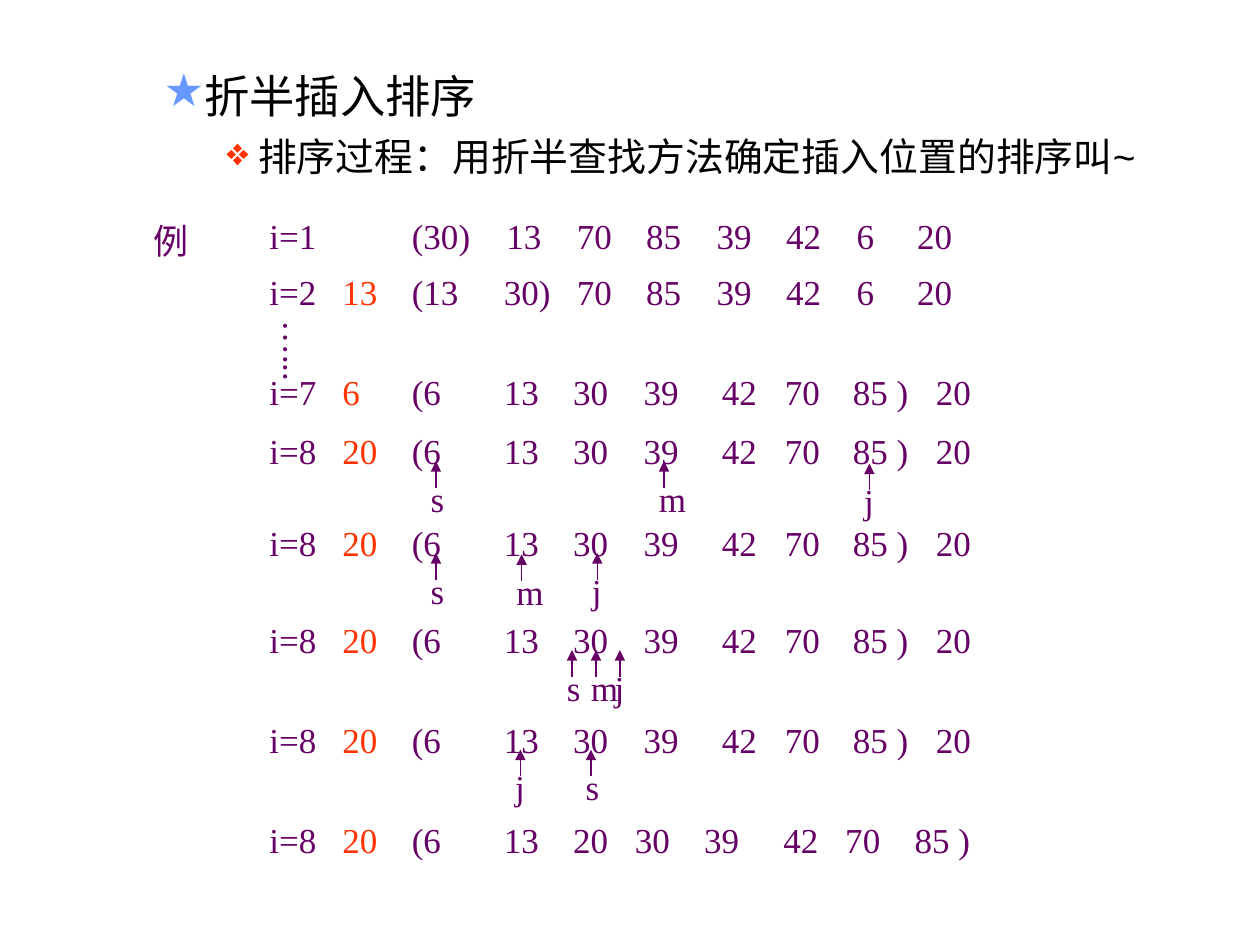
from lxml import etree
from pptx import Presentation, util as u
from pptx.dml.color import RGBColor
from pptx.enum import shapes as kinds, text as txt
from pptx.oxml.ns import qn

# Lengths are cells of a grid with 100 columns and 75 rows.
COLUMNS, ROWS, CELL = 100, 75, 0.1
PURPLE, RED, BLUE, BLACK = "660066", "FF3300", "6699FF", "000000"
SERIF, SANS = "Times New Roman", "Arial"
ROW_LEFT, ROW_WIDTH, LINE_HEIGHT = 20.4, 59, 4.4

# Tab stops: inserted key, first sorted value, then the remaining values
LEADING_STOPS = [5.8, 11.3]
UNSORTED_STOPS = LEADING_STOPS + [18.8, 24.4, 29.9, 35.5, 41, 46.6, 51.4]
PAIR_STOPS = LEADING_STOPS + [18.6] + UNSORTED_STOPS[3:]
SORTED_STOPS = LEADING_STOPS + [18.6, 24.1, 29.7, 35.9, 40.9, 46.3, 52.9]
FINAL_STOPS = LEADING_STOPS + [18.6, 24.1, 29, 34.5, 40.8, 45.7, 51.2]

SORTED_VALUES = "(6 13 30 39 42 70".split() + ["85 )", "20"]
FINAL_VALUES = "(6 13 20 30 39 42 70".split() + ["85 )"]

PASSES = [
    (16.5, "i=1", "", "(30) 13 70 85 39 42 6 20".split(), UNSORTED_STOPS),
    (21, "i=2", "13", "(13 30) 70 85 39 42 6 20".split(), PAIR_STOPS),
    (28.9, "i=7", "6", SORTED_VALUES, SORTED_STOPS),
    (64.5, "i=8", "20", FINAL_VALUES, FINAL_STOPS),
]

# Row of each search step, with pointer letter, column and extra drop
SEARCH_STEPS = [
    (33.6, [("s", 34.6, 0), ("j", 69, 0.2), ("m", 52.7, 0)]),
    (40.9, [("s", 34.6, 0), ("j", 47.4, 0), ("m", 41.4, 0.1)]),
    (48.6, [("s", 45.4, 0), ("j", 49.2, 0), ("m", 47.3, 0)]),
    (56.5, [("s", 46.9, 0), ("j", 41.3, 0)]),
]
POINTER_WIDTHS = {"s": 3.1, "j": 2.7, "m": 4.1}


def grid(cells):
    return u.Inches(round(cells * CELL, 2))


def color(hex_value):
    return RGBColor.from_string(hex_value)


def add_tabs(paragraph, stops):
    tab_list = etree.SubElement(paragraph._p.get_or_add_pPr(), qn("a:tabLst"))
    for stop in stops:
        etree.SubElement(tab_list, qn("a:tab"), pos=str(grid(stop)), algn="l")


def add_bullet(paragraph, symbol, hex_value, margin, hanging):
    properties = paragraph._p.get_or_add_pPr()
    properties.set("marL", str(grid(margin)))
    properties.set("indent", str(-grid(hanging)))
    bullet_color = etree.SubElement(properties, qn("a:buClr"))
    etree.SubElement(bullet_color, qn("a:srgbClr"), val=hex_value)
    etree.SubElement(properties, qn("a:buChar"), char=symbol)


def write(paragraph, words, size=20, font=SERIF, fill=PURPLE):
    run = paragraph.add_run()
    run.text = words
    run.font.size = u.Pt(size)
    run.font.name = font
    run.font.color.rgb = color(fill)


def add_box(parent, left, top, width, height=LINE_HEIGHT, wrap=False):
    """Add an empty text box and return its text frame."""
    box = parent.add_textbox(grid(left), grid(top), grid(width), grid(height))
    frame = box.text_frame
    frame.word_wrap = wrap
    if not wrap:
        frame.auto_size = txt.MSO_AUTO_SIZE.SHAPE_TO_FIT_TEXT
    return frame


def add_heading(parent):
    frame = add_box(parent, 7, 4.9, 93, 10.2, wrap=True)
    topic = frame.paragraphs[0]
    add_bullet(topic, "★", BLUE, 8.1, 3.1)
    write(topic, "折半插入排序", size=25.9, font=SANS, fill=BLACK)
    definition = frame.add_paragraph()
    definition.space_before = u.Pt(6)
    add_bullet(definition, "❖", RED, 12.5, 2.5)
    write(definition, "排序过程：用折半查找方法确定插入位置的排序叫~",
          size=22.2, font=SANS, fill=BLACK)


def add_pass(parent, top, index, key, values, stops):
    """Add one row: pass index, inserted key and the list of values."""
    row = add_box(parent, ROW_LEFT, top, ROW_WIDTH, wrap=True).paragraphs[0]
    add_tabs(row, stops)
    write(row, index + "\t")
    if key:
        write(row, key, fill=RED)
    write(row, "\t" + "\t".join(values))


def add_pointer(parent, letter, column, top):
    """Add an upward arrow whose tip is at top, with its letter below."""
    arrow = parent.add_connector(kinds.MSO_CONNECTOR.STRAIGHT, grid(column),
                                 grid(top + 2.1), grid(column), grid(top))
    arrow.line.color.rgb = color(PURPLE)
    arrow.line.width = u.Pt(0.75)
    etree.SubElement(arrow.line._get_or_add_ln(), qn("a:tailEnd"), type="triangle")
    etree.SubElement(arrow._element.spPr, qn("a:effectLst"))
    label = add_box(parent, column - 1.4, top + 0.8, POINTER_WIDTHS[letter])
    write(label.paragraphs[0], letter)


def add_search_step(parent, top, pointers):
    step = parent.add_group_shape().shapes
    add_pass(step, top, "i=8", "20", SORTED_VALUES, SORTED_STOPS)
    for letter, column, drop in pointers:
        add_pointer(step, letter, column, top + 3 + drop)


def add_ellipsis(parent):
    frame = add_box(parent, 20.5, 24.4, 5.3, 5.9)
    frame.margin_left = frame.margin_right = grid(0.5)
    frame.margin_top = frame.margin_bottom = grid(1)
    frame._txBody.bodyPr.set("vert", "eaVert")
    write(frame.paragraphs[0], "…...")


def main():
    deck = Presentation()
    deck.slide_width, deck.slide_height = grid(COLUMNS), grid(ROWS)
    parts = deck.slides.add_slide(deck.slide_layouts[6]).shapes
    add_heading(parts)
    write(add_box(parts, 11.2, 16.9, 4.8).paragraphs[0], "例")
    for sorting_pass in PASSES:
        add_pass(parts, *sorting_pass)
    add_ellipsis(parts)
    for top, pointers in SEARCH_STEPS:
        add_search_step(parts, top, pointers)
    deck.save("out.pptx")


if __name__ == "__main__":
    main()
